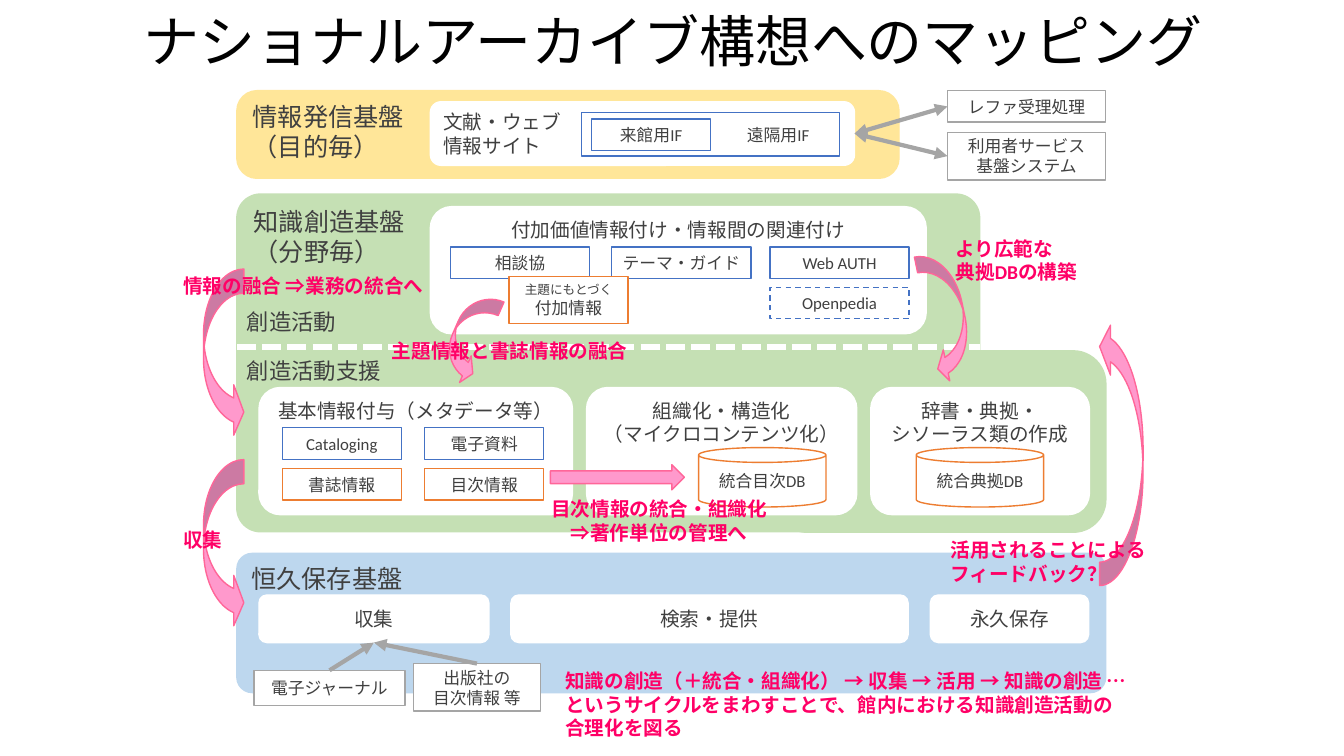
from dataclasses import dataclass
from typing import Optional

from lxml.etree import SubElement
from pptx import Presentation
from pptx.dml.color import RGBColor
from pptx.enum.dml import MSO_LINE
from pptx.enum.shapes import MSO_CONNECTOR, MSO_SHAPE
from pptx.enum.text import MSO_ANCHOR, PP_ALIGN
from pptx.oxml.ns import qn
from pptx.shapes.autoshape import Shape
from pptx.shapes.connector import Connector
from pptx.text.text import TextFrame
from pptx.util import Pt

BLACK = RGBColor(0, 0, 0)
WHITE = RGBColor(0xFF, 0xFF, 0xFF)
CHARCOAL = RGBColor(0x40, 0x40, 0x40)
GRAY = RGBColor(0xA5, 0xA5, 0xA5)
BLUE = RGBColor(0x44, 0x72, 0xC4)
ORANGE = RGBColor(0xED, 0x7D, 0x31)
YELLOW = RGBColor(0xFF, 0xE6, 0x99)
GREEN = RGBColor(0xC5, 0xE0, 0xB4)
SKY = RGBColor(0xBD, 0xD7, 0xEE)
PINK = RGBColor(0xFF, 0x99, 0xCC)
ROSE = RGBColor(0xFF, 0x66, 0x99)
MAGENTA = RGBColor(0xFF, 0x00, 0x66)

LATIN_FONT = "Calibri"
JAPANESE_FONT = "Noto Sans CJK JP"
CHIP_HEIGHT = 22.5
TALL_CHIP = 34
CARD_HEIGHT = 90.8


@dataclass(frozen=True)
class Panel:
    left: float
    top: float
    width: float
    height: float
    text: str = ""
    fill: RGBColor = WHITE
    line: RGBColor = WHITE
    size: float = 12
    geometry: MSO_SHAPE = MSO_SHAPE.RECTANGLE
    corner: Optional[float] = None
    anchor: MSO_ANCHOR = MSO_ANCHOR.MIDDLE
    align: PP_ALIGN = PP_ALIGN.CENTER
    dashed: bool = False
    inset: float = 7.2
    first_size: Optional[float] = None


@dataclass(frozen=True)
class Label:
    left: float
    top: float
    width: float
    height: float
    text: str
    size: float = 14
    color: RGBColor = MAGENTA
    bold: bool = True
    last_indent: float = 0


@dataclass(frozen=True)
class FlowArrow:
    left: float
    top: float
    width: float
    height: float
    adjustments: tuple[float, ...] = ()
    geometry: MSO_SHAPE = MSO_SHAPE.CURVED_RIGHT_ARROW
    rotation: float = 0
    flips: tuple[str, ...] = ()


@dataclass(frozen=True)
class Link:
    source: str
    source_side: int
    target: str
    target_side: int
    double: bool = False


def band(left: float, top: float, width: float, height: float,
         text: str, color: RGBColor, corner: float) -> Panel:
    return Panel(left, top, width, height, text, color, color, 18,
                 MSO_SHAPE.ROUNDED_RECTANGLE, corner, MSO_ANCHOR.TOP, PP_ALIGN.LEFT)


def card(left: float, top: float, width: float, height: float, text: str,
         anchor: MSO_ANCHOR = MSO_ANCHOR.TOP, align: PP_ALIGN = PP_ALIGN.CENTER) -> Panel:
    return Panel(left, top, width, height, text, size=14,
                 geometry=MSO_SHAPE.ROUNDED_RECTANGLE, anchor=anchor, align=align)


def write(frame: TextFrame, text: str, size: float, color: RGBColor,
          bold: bool = False, latin: str = LATIN_FONT) -> None:
    frame.word_wrap = True
    for index, line in enumerate(text.split("\n")):
        paragraph = frame.add_paragraph() if index else frame.paragraphs[0]
        run = paragraph.add_run()
        run.text = line
        run.font.size = Pt(size)
        run.font.bold = bold
        run.font.name = latin
        run.font.color.rgb = color
        SubElement(run.font._element, qn("a:ea")).set("typeface", JAPANESE_FONT)


def paint(shape: Shape, fill: RGBColor, line: RGBColor) -> None:
    shape.shadow.inherit = False
    shape.fill.solid()
    shape.fill.fore_color.rgb = fill
    shape.line.color.rgb = line
    shape.line.width = Pt(1)


def draw_panel(panel: Panel) -> Shape:
    shape = shapes.add_shape(panel.geometry, Pt(panel.left), Pt(panel.top),
                             Pt(panel.width), Pt(panel.height))
    paint(shape, panel.fill, panel.line)
    if panel.corner is not None:
        shape.adjustments[0] = panel.corner
    if panel.dashed:
        shape.line.dash_style = MSO_LINE.DASH
    if panel.text:
        frame = shape.text_frame
        frame.vertical_anchor = panel.anchor
        frame.margin_left = Pt(panel.inset)
        write(frame, panel.text, panel.size, CHARCOAL)
        for paragraph in frame.paragraphs:
            paragraph.alignment = panel.align
        if panel.first_size:
            frame.paragraphs[0].runs[0].font.size = Pt(panel.first_size)
    return shape


def draw_label(label: Label) -> None:
    frame = shapes.add_textbox(Pt(label.left), Pt(label.top),
                               Pt(label.width), Pt(label.height)).text_frame
    write(frame, label.text, label.size, label.color, label.bold)
    if label.last_indent:
        properties = frame.paragraphs[-1]._p.get_or_add_pPr()
        properties.set("marL", str(Pt(label.last_indent)))


def draw_flow(arrow: FlowArrow) -> None:
    shape = shapes.add_shape(arrow.geometry, Pt(arrow.left), Pt(arrow.top),
                             Pt(arrow.width), Pt(arrow.height))
    paint(shape, PINK, ROSE)
    shape.rotation = arrow.rotation
    for index, value in enumerate(arrow.adjustments):
        shape.adjustments[index] = value
    for flip in arrow.flips:
        shape._element.spPr.find(qn("a:xfrm")).set(flip, "1")


def draw_line(x1: float, y1: float, x2: float, y2: float,
              color: RGBColor, width: float) -> Connector:
    line = shapes.add_connector(MSO_CONNECTOR.STRAIGHT, Pt(x1), Pt(y1), Pt(x2), Pt(y2))
    line.line.color.rgb = color
    line.line.width = Pt(width)
    SubElement(line._element.spPr, qn("a:effectLst"))
    return line


def draw_link(link: Link, drawn: dict[str, Shape]) -> None:
    line = draw_line(0, 0, 0, 0, GRAY, 3)
    line.begin_connect(drawn[link.source], link.source_side)
    line.end_connect(drawn[link.target], link.target_side)
    for end in ("headEnd", "tailEnd") if link.double else ("tailEnd",):
        SubElement(line.line._get_or_add_ln(), qn(f"a:{end}")).set("type", "triangle")


MIDDLE = MSO_ANCHOR.MIDDLE
PANELS = [
    band(553, 250.6, 236.9, 129.6, "", GREEN, 0.18),
    band(169.2, 64.8, 473, 62.6, "情報発信基盤\n（目的毎）", YELLOW, 0.23),
    band(169.2, 138.6, 530.6, 241.2, "知識創造基盤\n（分野毎）", GREEN, 0.07),
    band(169.2, 395.3, 620.6, 99.4, "恒久保存基盤", SKY, 0.11),
    card(185, 425, 164.2, 34, "収集", MIDDLE),
    card(365, 425, 283.7, 34, "検索・提供", MIDDLE),
    card(664.6, 425, 113, 34, "永久保存", MIDDLE),
    card(185, 276.8, 223.9, CARD_HEIGHT, "基本情報付与（メタデータ等）"),
    card(419, 276.8, 193, CARD_HEIGHT, "組織化・構造化\n（マイクロコンテンツ化）"),
    card(622, 276.8, 156.2, CARD_HEIGHT, "辞書・典拠・\nシソーラス類の作成"),
    card(307.4, 147.6, 354.2, CARD_HEIGHT, "付加価値情報付け・情報間の関連付け"),
    *[Panel(left, 176.4, 99.4, CHIP_HEIGHT, text, line=BLUE) for left, text in
      ((437, "テーマ・ガイド"), (321.8, "相談協"), (550, "Web AUTH"))],
    Panel(550, 205.2, 99.4, CHIP_HEIGHT, "Openpedia", line=BLUE, dashed=True),
    *[Panel(left, top, 85, CHIP_HEIGHT, text, line=color)
      for top, color, row in ((305.6, BLUE, ("Cataloging", "電子資料")),
                              (334.8, ORANGE, ("書誌情報", "目次情報")))
      for left, text in zip((201.6, 303.4), row)],
    Panel(676.8, 64.8, 113, CHIP_HEIGHT, "レファ受理処理", line=GRAY),
    Panel(676.8, 94.5, 113, TALL_CHIP, "利用者サービス\n基盤システム", line=GRAY),
    Panel(181.4, 478.8, 108, 25, "電子ジャーナル", line=GRAY),
    Panel(295.2, 474, 91, TALL_CHIP, "出版社の\n目次情報 等", line=GRAY),
    card(307.4, 72.7, 303, 45.4, "文献・ウェブ\n情報サイト", MIDDLE, PP_ALIGN.LEFT),
    Panel(415.6, 80.6, 184.3, 31, "遠隔用IF", line=BLUE, inset=103.2),
    Panel(422.6, 85, 85, CHIP_HEIGHT, "来館用IF", line=BLUE),
]
LINKS = [
    Link("電子ジャーナル", 0, "収集", 2),
    Link("出版社の\n目次情報 等", 0, "収集", 2),
    Link("レファ受理処理", 1, "文献・ウェブ\n情報サイト", 3, True),
    Link("利用者サービス\n基盤システム", 1, "文献・ウェブ\n情報サイト", 3, True),
]
ACTIVITY_LABELS = [Label(169.2, top, 125.3, 26.6, text, 16, CHARCOAL, False)
                   for top, text in ((216.7, "創造活動"), (251.3, "創造活動支援"))]
DATABASES = [Panel(left, 319.7, 91, 42.5, text, line=ORANGE, geometry=MSO_SHAPE.CAN)
             for left, text in ((499, "統合目次DB"), (654.5, "統合典拠DB"))]
ADDED_INFORMATION = Panel(363.6, 197.3, 85, TALL_CHIP, "主題にもとづく\n付加情報",
                          line=ORANGE, first_size=9)
SHORT_CURVE = (0.43, 0.85, 0.25)
LONG_CURVE = (0.6, 1.25, 0.25)
FLOWS = [
    (FlowArrow(323.3, 208.1, 24.5, 66.2, SHORT_CURVE, rotation=23.6),
     Label(272.9, 238.3, 202.3, 24.5, "主題情報と書誌情報の融合")),
    (FlowArrow(393.1, 331.9, 95.8, 18, geometry=MSO_SHAPE.RIGHT_ARROW),
     Label(386.6, 351.4, 202.3, 41, "目次情報の統合・組織化\n⇒著作単位の管理へ", last_indent=14)),
    (FlowArrow(662.4, 180, 26.6, 92.9, SHORT_CURVE, rotation=348.2, flips=("flipH",)),
     Label(675.4, 165.6, 128.2, 41, "より広範な\n典拠DBの構築")),
    (FlowArrow(785.5, 229.7, 31, 188.6, (0.54, 1.15, 0.25), flips=("flipH", "flipV")),
     Label(671.8, 380.9, 167, 41, "活用されることによる\nフィードバック？")),
    (FlowArrow(145.4, 192.2, 28.8, 120.2, LONG_CURVE),
     Label(123.8, 192.2, 202.3, 24.5, "情報の融合 ⇒業務の統合へ")),
    (FlowArrow(145.4, 328.3, 28.8, 120.2, LONG_CURVE),
     Label(123.8, 373.7, 202.3, 24.5, "収集")),
]
CYCLE_SUMMARY = Label(396.7, 474.5, 442, 58.3,
                      "知識の創造（＋統合・組織化） → 収集 → 活用 → 知識の創造 …\n"
                      "というサイクルをまわすことで、館内における知識創造活動の\n合理化を図る")

presentation = Presentation()
presentation.slide_width, presentation.slide_height = Pt(960), Pt(540)
shapes = presentation.slides.add_slide(presentation.slide_layouts[6]).shapes

title = shapes.add_textbox(Pt(9.4), Pt(2.2), Pt(942.5), Pt(58.3)).text_frame
title.vertical_anchor = MIDDLE
write(title, "ナショナルアーカイブ構想へのマッピング", 40, BLACK, latin=JAPANESE_FONT)
title.paragraphs[0].alignment = PP_ALIGN.CENTER
title.paragraphs[0].line_spacing = 0.9

drawn_panels = {panel.text: draw_panel(panel) for panel in PANELS}
for link in LINKS:
    draw_link(link, drawn_panels)
for activity in ACTIVITY_LABELS:
    draw_label(activity)
divider = draw_line(169.2, 247.7, 699.8, 247.7, WHITE, 4.5)
divider.line.dash_style = MSO_LINE.SQUARE_DOT
for panel in (*DATABASES, ADDED_INFORMATION):
    draw_panel(panel)
for flow, caption in FLOWS:
    draw_flow(flow)
    draw_label(caption)
draw_label(CYCLE_SUMMARY)

presentation.save("out.pptx")
